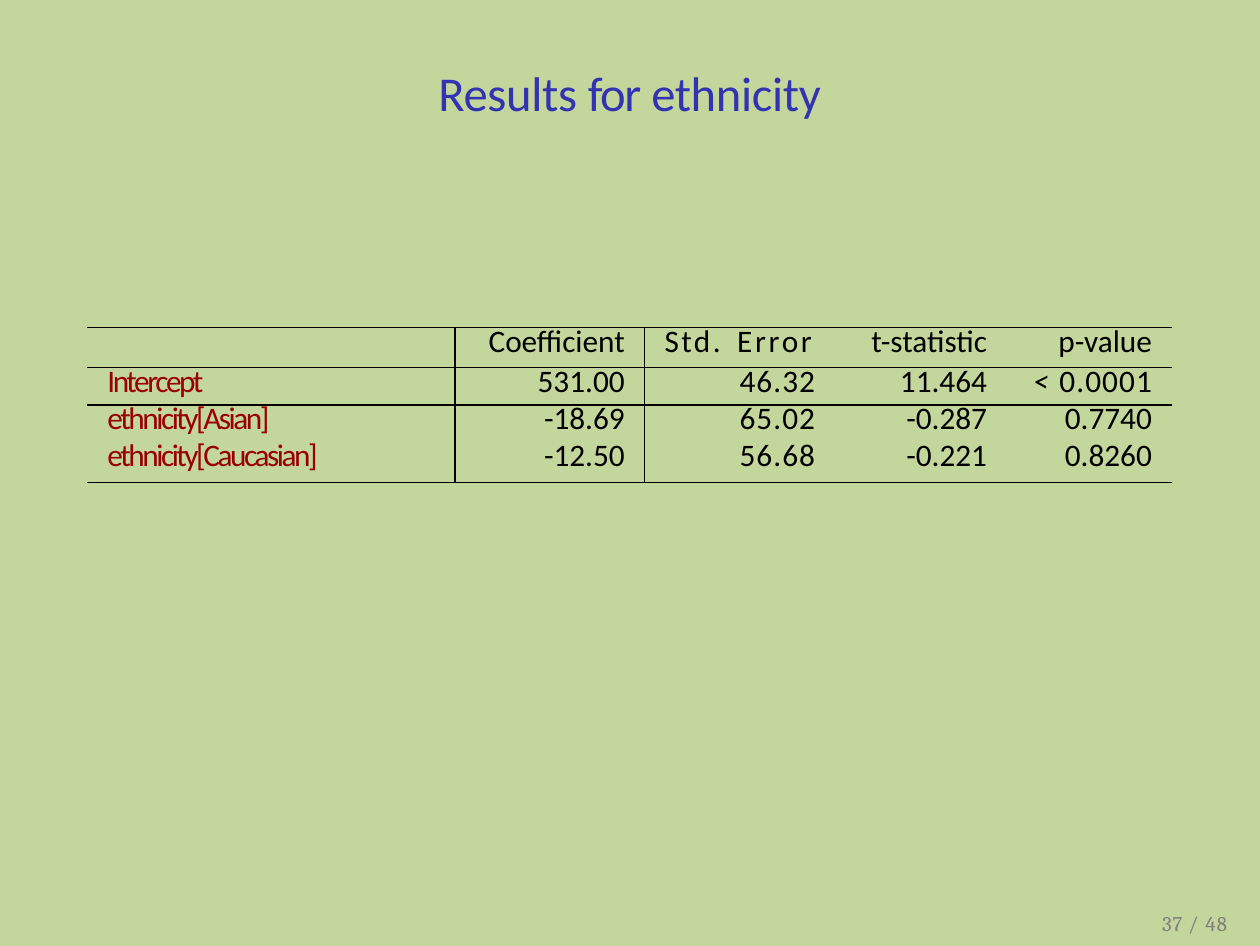
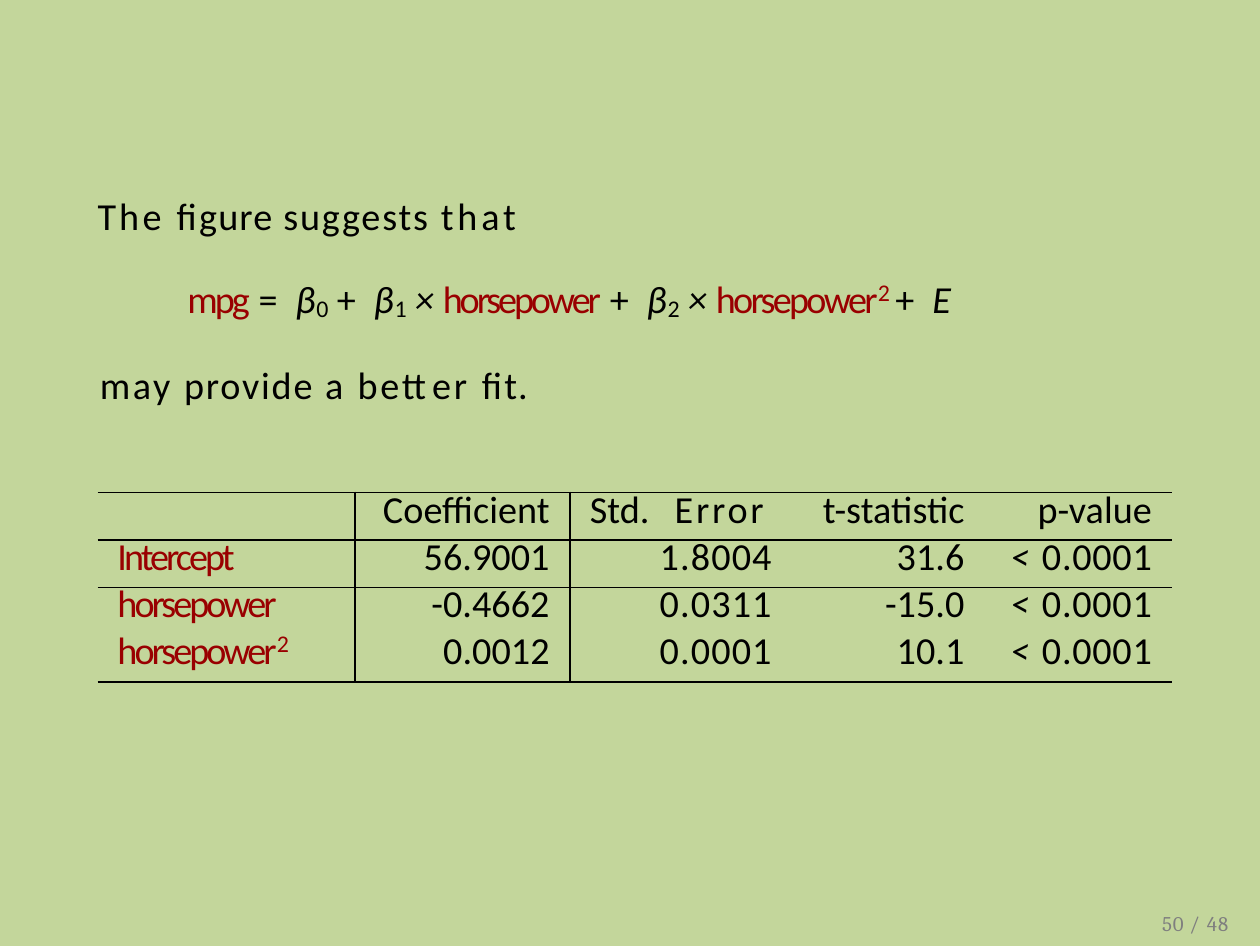
from dataclasses import dataclass

from lxml import etree
from pptx import Presentation
from pptx.dml.color import RGBColor
from pptx.enum.text import PP_ALIGN
from pptx.oxml.ns import qn
from pptx.util import Inches, Pt

LEFT, CENTER, RIGHT = PP_ALIGN.LEFT, PP_ALIGN.CENTER, PP_ALIGN.RIGHT
PLAIN_TABLE = "{2D5ABB26-0587-4C30-8999-92F81FD0307C}"


@dataclass(frozen=True)
class Theme:
    background: str = "C3D69B"
    title: str = "3333B2"
    text: str = "000000"
    variable: str = "990000"
    footer: str = "7F7F7F"
    body_font: str = "Calibri"
    footer_font: str = "Cambria"
    title_size: float = 14
    body_size: float = 11
    index_size: float = 12
    small_size: float = 9
    footer_size: float = 6
    rule: float = 0.5
    cell_gap: float = 0.08


T = Theme()


# Text helpers
def add_run(p, text, spc=0, color=T.text, size=T.body_size, italic=False,
            base=0, font=T.body_font):
    r = p.add_run()
    r.text = text
    r.font.name, r.font.size, r.font.italic = font, Pt(size), italic
    r.font.color.rgb = RGBColor.from_string(color)
    rPr = r.font._element
    rPr.set("spc", str(round(spc * 100)))
    if base:
        rPr.set("baseline", str(base * 1000))


def add_term(p, text, spc, **style):
    """A tracked word or symbol, then a space of normal width."""
    add_run(p, text, spc, **style)
    add_run(p, " ", **style)


def add_text(slide, box, top=0):
    sp = slide.shapes.add_textbox(*map(Inches, box))
    tf = sp.text_frame
    tf.word_wrap = True
    tf.margin_left = tf.margin_right = tf.margin_bottom = 0
    tf.margin_top = Inches(top)
    return tf


def indent(p, inches):
    p._p.get_or_add_pPr().set("marL", str(Inches(inches)))


# Parts shared by the slides
def add_page(prs, number):
    slide = prs.slides.add_slide(prs.slide_layouts[6])
    fill = slide.background.fill
    fill.solid()
    fill.fore_color.rgb = RGBColor.from_string(T.background)
    p = add_text(slide, (4.61, 3.65, 0.34, 0.11)).paragraphs[0]
    indent(p, 0.04)
    p.line_spacing = Pt(6.7)
    style = {"color": T.footer, "size": T.footer_size, "font": T.footer_font}
    add_term(p, str(number), 0.3, **style)
    add_term(p, "/", 0.7, **style)
    add_run(p, "48", 0.3, **style)
    return slide


def add_title(slide, box, runs):
    p = add_text(slide, box, 0.02).paragraphs[0]
    p.alignment = CENTER
    p.space_before = Pt(1.4)
    for text, spc in runs:
        add_run(p, text, spc, T.title, T.title_size)


# Model statement: lead-in, equation, closing line
def add_model(slide, box):
    tf = add_text(slide, box, 0.01)

    def set_line(p, left, before):
        indent(p, left)
        p.space_before = Pt(before)
        return p

    def add_beta(p, index):
        add_run(p, "β", 0.2, italic=True)
        add_run(p, f"{index} ", 0.4, size=T.index_size, base=-10)

    p = set_line(tf.paragraphs[0], 0.05, 0.9)
    for text, spc in (("The ", 0.9), ("figure ", 0.3), ("suggests ", 0.5), ("that", 1.1)):
        add_run(p, text, spc)

    p = set_line(tf.add_paragraph(), 0.41, 9.7)
    add_term(p, "mpg", -0.9, color=T.variable)
    add_term(p, "=", 2.6)
    add_beta(p, 0)
    add_term(p, "+", 2.6)
    add_beta(p, 1)
    add_term(p, "×", -0.4, italic=True)
    add_term(p, "horsepower", -0.9, color=T.variable)
    add_term(p, "+", 2.6)
    add_beta(p, 2)
    add_term(p, "×", -0.4, italic=True)
    add_run(p, "horsepower", -0.8, T.variable)
    add_term(p, "2", -1.3, color=T.variable, size=T.index_size, base=28)
    add_term(p, "+", 2.6)
    add_run(p, "E", -2.4, italic=True)

    p = set_line(tf.add_paragraph(), 0.06, 11.3)
    for text, spc in (("may ", 0.7), ("provide ", 0.5), ("a better ", 0.8), ("fit.", 0.3)):
        add_run(p, text, spc)


# Coefficient table
def set_borders(cell, row, col, last_row):
    drawn = {
        "a:lnL": col in (1, 2),
        "a:lnR": col in (0, 1),
        "a:lnT": row <= 2,
        "a:lnB": row <= 1 or row == last_row,
    }
    tcPr = cell._tc.get_or_add_tcPr()
    for tag, shown in drawn.items():
        ln = etree.SubElement(tcPr, qn(tag), w=str(Pt(T.rule)))
        if shown:
            fill = etree.SubElement(ln, qn("a:solidFill"))
            etree.SubElement(fill, qn("a:srgbClr"), val=T.text)
        else:
            etree.SubElement(ln, qn("a:noFill"))
    cell.fill.background()


def add_coefficients(slide, box, widths, heights, rows, size, leads,
                     error_left, error_header, p_spc):
    """leads: line spacing of the first two rows and of the others."""
    frame = slide.shapes.add_table(len(rows) + 1, len(widths), *map(Inches, box))
    table = frame.table
    table.first_row = table.horz_banding = False
    table._tbl.tblPr.find(qn("a:tableStyleId")).text = PLAIN_TABLE
    for column, width in zip(table.columns, widths):
        column.width = Inches(width)
    for row, height in zip(table.rows, heights):
        row.height = Inches(height)

    # Empty frame of cells
    for i in range(len(rows) + 1):
        for j in range(len(widths)):
            cell = table.cell(i, j)
            cell.margin_top = cell.margin_bottom = 0
            cell.margin_left = cell.margin_right = 0
            set_borders(cell, i, j, len(rows))
            p = cell.text_frame.paragraphs[0]
            p.line_spacing = Pt(leads[0] if i < 2 else leads[1])
            p._p.get_or_add_endParaRPr().set("sz", str(size * 100))

    def fill_cell(i, j, text, spc=0, align=RIGHT, left=0, color=T.text):
        cell = table.cell(i, j)
        if align == RIGHT:
            cell.margin_right = Inches(T.cell_gap)
        else:
            cell.margin_left = Inches(left)
        p = cell.text_frame.paragraphs[0]
        p.alignment = align
        if text.startswith("< "):
            add_term(p, "<", 1.1, size=size, italic=True)
            text, spc = text[2:], p_spc
        add_run(p, text, spc, color, size)
        return p

    # Header
    std_spc, error_indent = error_header
    fill_cell(0, 1, "Coefficient")
    fill_cell(0, 2, "Std.", std_spc, LEFT, T.cell_gap)
    fill_cell(0, 3, "Error", 0.8, LEFT, error_indent)
    fill_cell(0, 4, "t-statistic")
    fill_cell(0, 5, "p-value")

    # Body: the standard error spans the two header cells above it
    label_spc = -0.08 * size
    for i, (label, power, coefficient, error, t_value, p_value) in enumerate(rows, 1):
        table.cell(i, 2).merge(table.cell(i, 3))
        p = fill_cell(i, 0, label, label_spc, LEFT, T.cell_gap, T.variable)
        if power:
            add_run(p, power, -1.3, T.variable, T.index_size, base=28)
        fill_cell(i, 1, coefficient)
        fill_cell(i, 2, error, 0.3, LEFT, error_left)
        fill_cell(i, 4, t_value)
        fill_cell(i, 5, p_value)


# Slides
def ethnicity_slide(prs):
    slide = add_page(prs, 37)
    add_title(slide, (1.64, 0.23, 1.76, 0.25),
              (("Results ", -0.1), ("for ", -0.4), ("ethnicity", -0.1)))
    add_coefficients(
        slide, (0.35, 1.31, 4.34, 0.62),
        widths=(1.47, 0.76, 0.34, 0.41, 0.7, 0.66),
        heights=(0.16, 0.15, 0.15, 0.16),
        rows=(
            ("Intercept", "", "531.00", "46.32", "11.464", "< 0.0001"),
            ("ethnicity[Asian]", "", "-18.69", "65.02", "-0.287", "0.7740"),
            ("ethnicity[Caucasian]", "", "-12.50", "56.68", "-0.221", "0.8260"),
        ),
        size=T.small_size, leads=(9.7, 9.5), error_left=0.38,
        error_header=(0.7, 0.03), p_spc=0.3)


def horsepower_slide(prs):
    slide = add_page(prs, 50)
    add_model(slide, (0.34, 0.76, 4.01, 0.89))
    add_coefficients(
        slide, (0.39, 1.97, 4.3, 0.76),
        widths=(1.03, 0.86, 0.35, 0.51, 0.8, 0.75),
        heights=(0.19,) * 4,
        rows=(
            ("Intercept", "", "56.9001", "1.8004", "31.6", "< 0.0001"),
            ("horsepower", "", "-0.4662", "0.0311", "-15.0", "< 0.0001"),
            ("horsepower", "2", "0.0012", "0.0001", "10.1", "< 0.0001"),
        ),
        size=T.body_size, leads=(11.9, 11.7), error_left=0.36,
        error_header=(0, 0.07), p_spc=0.2)


def main():
    prs = Presentation()
    # The page is 363 by 272.5 points
    prs.slide_width, prs.slide_height = Pt(363), Pt(272.5)
    ethnicity_slide(prs)
    horsepower_slide(prs)
    prs.save("out.pptx")


if __name__ == "__main__":
    main()
